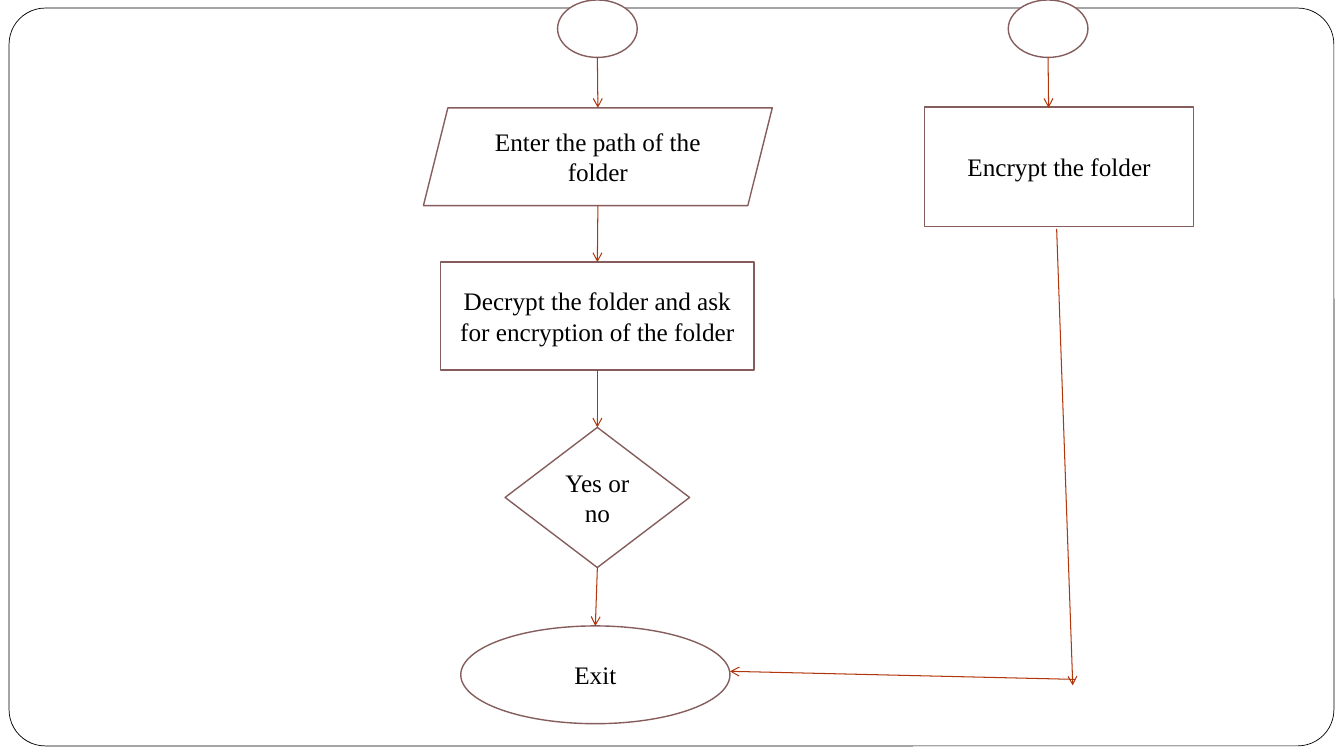
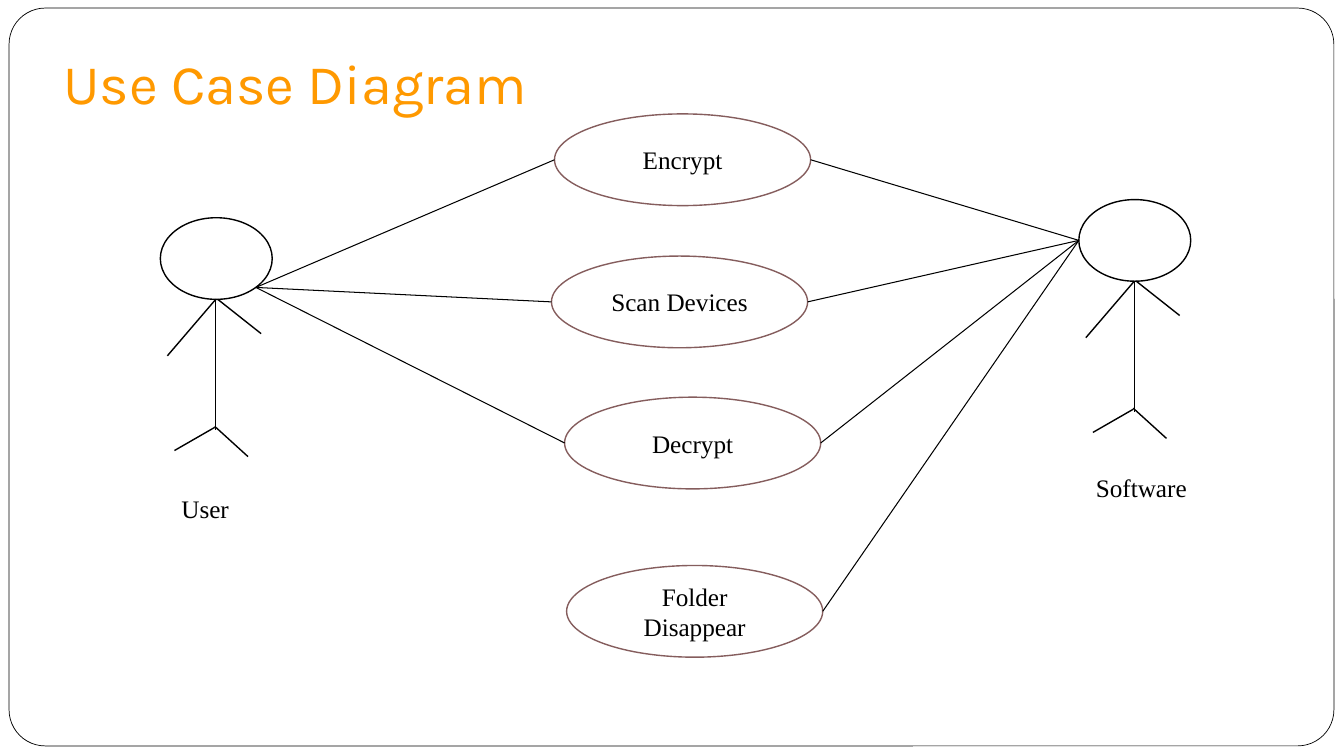
import dataclasses

import pptx
import pptx.dml.color
import pptx.enum.shapes
import pptx.enum.text
import pptx.oxml
import pptx.oxml.ns
import pptx.util

Inches = pptx.util.Inches
MSO_SHAPE = pptx.enum.shapes.MSO_SHAPE
ANCHOR = pptx.enum.text.MSO_ANCHOR
ALIGN = pptx.enum.text.PP_ALIGN


@dataclasses.dataclass(frozen=True)
class Theme:
    paper: str = "FFFFFF"
    ink: str = "000000"
    outline: str = "855D5D"
    flow: str = "B1360B"
    accent: str = "FF9900"
    body_font: str = "Times New Roman"
    title_font: str = "Karla"
    body_size: int = 18
    title_size: int = 40
    frame_width: float = 0.5
    link_width: float = 0.75
    shape_width: float = 1


THEME = Theme()
TOP, BOTTOM, LEFT, RIGHT = (0.5, 0), (0.5, 1), (0, 0.5), (1, 0.5)
LOWER_RIGHT = (0.854, 0.854)


def rgb(color):
    return pptx.dml.color.RGBColor.from_string(color)


def set_text(tf, text, font, size, color, align):
    tf.word_wrap = True
    tf.text = text
    p = tf.paragraphs[0]
    p.alignment = align
    r = p.runs[0]
    r.font.name = font
    r.font.size = pptx.util.Pt(size)
    r.font.color.rgb = rgb(color)


def add_node(s, kind, box, text="", line=THEME.outline, width=THEME.shape_width):
    sp = s.shapes.add_shape(kind, *map(Inches, box))
    sp.shadow.inherit = False
    sp.fill.solid()
    sp.fill.fore_color.rgb = rgb(THEME.paper)
    sp.line.color.rgb = rgb(line)
    sp.line.width = pptx.util.Pt(width)
    if text:
        sp.text_frame.vertical_anchor = ANCHOR.MIDDLE
        set_text(sp.text_frame, text, THEME.body_font, THEME.body_size,
                 THEME.ink, ALIGN.CENTER)
    return sp


def add_line(s, start, end, color=THEME.ink, width=THEME.link_width):
    line = s.shapes.add_connector(pptx.enum.shapes.MSO_CONNECTOR.STRAIGHT,
                                  *map(Inches, (*start, *end)))
    line.line.color.rgb = rgb(color)
    line.line.width = pptx.util.Pt(width)
    sp_pr = line._element.spPr
    sp_pr.append(pptx.oxml.parse_xml(
        f"<a:effectLst {pptx.oxml.ns.nsdecls('a')}/>"))
    return line


def add_arrow(s, start, end):
    line = add_line(s, start, end, THEME.flow)
    line.line._get_or_add_ln().append(pptx.oxml.parse_xml(
        f"<a:tailEnd {pptx.oxml.ns.nsdecls('a')} type='arrow'/>"))


def add_label(s, box, text, font=THEME.body_font, size=THEME.body_size,
              color=THEME.ink):
    tb = s.shapes.add_textbox(*map(Inches, box))
    set_text(tb.text_frame, text, font, size, color, ALIGN.LEFT)
    return tb


def add_title(s, text):
    tb = add_label(s, (0.53, 0, 11.33, 1.25), text, THEME.title_font,
                   THEME.title_size, THEME.accent)
    tb.text_frame.vertical_anchor = ANCHOR.BOTTOM
    tb.text_frame.margin_bottom = Inches(0.1)


def add_actor(s, left, top, name, label_at):
    head = add_node(s, MSO_SHAPE.OVAL, (left, top, 1.11, 0.81), line=THEME.ink)
    limbs = [
        ((0.55, 0.81), (0.55, 2.11)),
        ((0.55, 0.81), (0.07, 1.37)),
        ((0.57, 0.81), (1, 1.15)),
        ((0.54, 2.08), (0.14, 2.31)),
        ((0.54, 2.07), (0.87, 2.37)),
    ]
    for (x1, y1), (x2, y2) in limbs:
        add_line(s, (left + x1, top + y1), (left + x2, top + y2),
                 width=THEME.shape_width)
    add_label(s, (*label_at, 1.59, 0.4), name)
    return head


def point(sp, site):
    return (sp.left.inches + sp.width.inches * site[0],
            sp.top.inches + sp.height.inches * site[1])


def add_slide(prs):
    s = prs.slides.add_slide(prs.slide_layouts[6])
    frame = add_node(s, MSO_SHAPE.ROUNDED_RECTANGLE, (0.09, 0.08, 13.14, 7.32),
                     line=THEME.ink, width=THEME.frame_width)
    frame.adjustments[0] = 0.049
    return s


def build_flowchart(prs):
    s = add_slide(prs)
    steps = [
        (MSO_SHAPE.FLOWCHART_CONNECTOR, (5.53, 0, 0.79, 0.57), ""),
        (MSO_SHAPE.PARALLELOGRAM, (4.2, 1.07, 3.46, 0.97),
         "Enter the path of the folder"),
        (MSO_SHAPE.RECTANGLE, (4.37, 2.6, 3.11, 1.07),
         "Decrypt the folder and ask for encryption of the folder"),
        (MSO_SHAPE.FLOWCHART_DECISION, (5.01, 4.24, 1.83, 1.39), "Yes or no"),
        (MSO_SHAPE.OVAL, (4.57, 6.21, 2.67, 0.97), "Exit"),
    ]
    nodes = [add_node(s, *step) for step in steps]
    for upper, lower in zip(nodes, nodes[1:]):
        add_arrow(s, point(upper, BOTTOM), point(lower, TOP))

    entry = add_node(s, MSO_SHAPE.FLOWCHART_CONNECTOR, (10, 0, 0.79, 0.57))
    add_node(s, MSO_SHAPE.RECTANGLE, (9.17, 1.06, 2.67, 1.19),
             "Encrypt the folder")
    add_arrow(s, point(entry, BOTTOM), (10.4, 1.07))
    add_arrow(s, (10.48, 2.27), (10.64, 6.8))
    add_arrow(s, (10.66, 6.74), (7.24, 6.66))


def build_use_cases(prs):
    s = add_slide(prs)
    add_title(s, "Use Case Diagram")
    cases = [
        (5.5, 1.13, "Encrypt"),
        (5.47, 2.54, "Scan Devices"),
        (5.6, 3.94, "Decrypt"),
        (5.62, 5.61, "Folder Disappear"),
    ]
    ovals = [add_node(s, MSO_SHAPE.OVAL, (left, top, 2.54, 0.91), text)
             for left, top, text in cases]
    user = add_actor(s, 1.59, 2.16, "User", (1.7, 4.84))
    software = add_actor(s, 10.7, 1.98, "Software", (10.77, 4.64))
    for oval in ovals[:3]:
        add_line(s, point(user, LOWER_RIGHT), point(oval, LEFT))
    for oval in ovals:
        add_line(s, point(oval, RIGHT), point(software, LEFT))


def main():
    prs = pptx.Presentation()
    prs.slide_width = Inches(13.33)
    prs.slide_height = Inches(7.5)
    build_flowchart(prs)
    build_use_cases(prs)
    prs.save("out.pptx")


if __name__ == "__main__":
    main()
